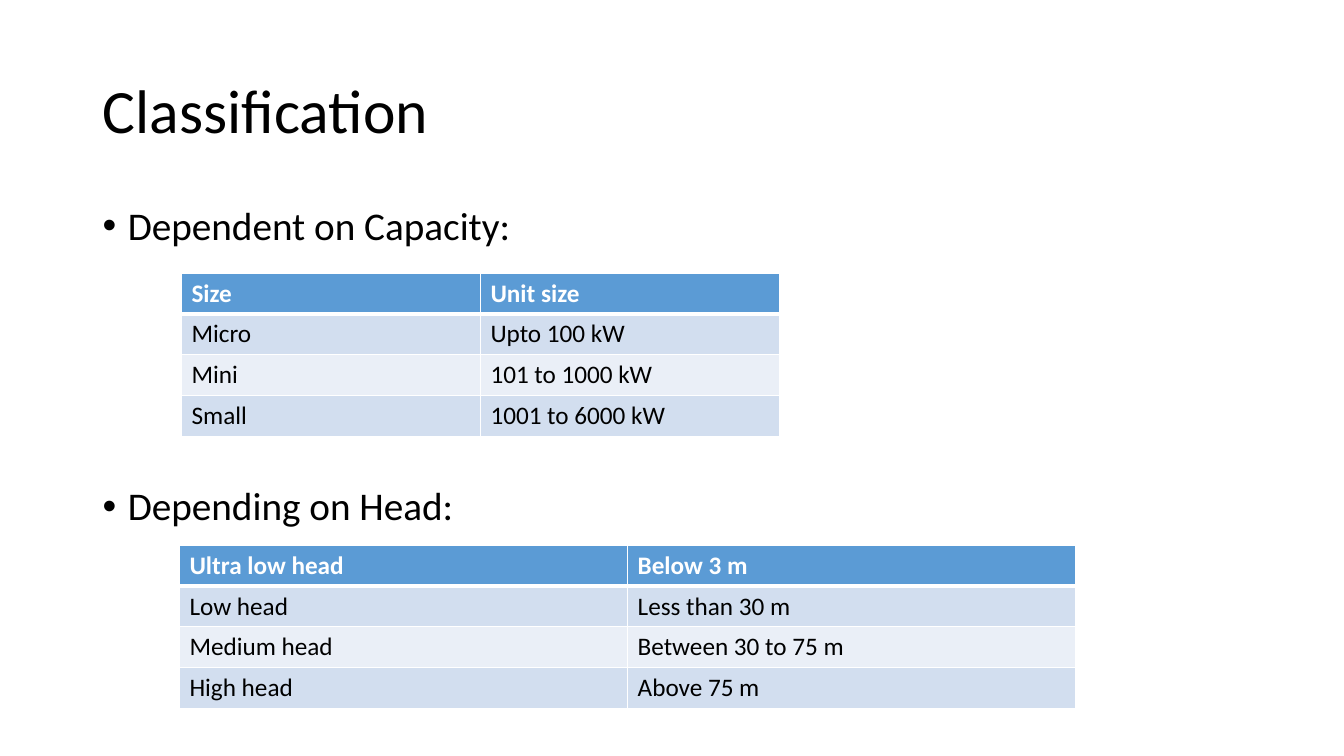
from dataclasses import dataclass

from lxml.etree import SubElement
from pptx import Presentation
from pptx.dml.color import RGBColor
from pptx.enum.text import MSO_ANCHOR, PP_ALIGN
from pptx.oxml.ns import qn
from pptx.util import Inches, Pt

TITLE = "Classification"
BULLETS = ["Dependent on Capacity:", "Depending on Head:"]
TABLES = [
    {
        "left": 1.8, "top": 2.71, "width": 5.93,
        "rows": [
            ("Size", "Unit size"),
            ("Micro", "Upto 100 kW"),
            ("Mini", "101 to 1000 kW"),
            ("Small", "1001 to 6000 kW"),
        ],
    },
    {
        "left": 1.78, "top": 5.41, "width": 8.89,
        "rows": [
            ("Ultra low head", "Below 3 m"),
            ("Low head", "Less than 30 m"),
            ("Medium head", "Between 30 to 75 m"),
            ("High head", "Above 75 m"),
        ],
    },
]


@dataclass(frozen=True)
class Theme:
    font: str = "Calibri"
    text: str = "000000"
    white: str = "FFFFFF"
    header: str = "5B9BD5"
    bands: tuple = ("D2DEEF", "EAEFF7")
    title_size: int = 44
    bullet_size: int = 28
    cell_size: int = 18
    thin_line: int = 1
    thick_line: int = 3
    line_spacing: float = 0.9
    bullet_gap: int = 170
    row_height: float = 0.405


THEME = Theme()


def add_run(paragraph, text, size, color=THEME.text, bold=False):
    run = paragraph.add_run()
    run.text = text
    run.font.name = THEME.font
    run.font.size = Pt(size)
    run.font.bold = bold
    run.font.color.rgb = RGBColor.from_string(color)


def add_bullet(paragraph):
    properties = paragraph._p.get_or_add_pPr()
    properties.set("marL", str(Inches(0.25)))
    properties.set("indent", str(-Inches(0.25)))
    SubElement(properties, qn("a:buFont"), typeface="Arial")
    SubElement(properties, qn("a:buChar"), char="•")


def add_border(cell, side, width):
    properties = cell._tc.get_or_add_tcPr()
    line = SubElement(properties, qn(f"a:ln{side}"), w=str(Pt(width)))
    fill = SubElement(line, qn("a:solidFill"))
    SubElement(fill, qn("a:srgbClr"), val=THEME.white)


def add_title(slide):
    title = slide.shapes.title
    title.left, title.top = Inches(0.92), Inches(0.4)
    title.width, title.height = Inches(11.5), Inches(1.45)
    title.text_frame.vertical_anchor = MSO_ANCHOR.MIDDLE
    paragraph = title.text_frame.paragraphs[0]
    paragraph.alignment = PP_ALIGN.LEFT
    paragraph.line_spacing = THEME.line_spacing
    add_run(paragraph, TITLE, THEME.title_size)


def add_bullets(slide):
    box = slide.shapes.add_textbox(Inches(0.92), Inches(2), Inches(11.5), Inches(4.76))
    frame = box.text_frame
    frame.word_wrap = True
    for index, text in enumerate(BULLETS):
        paragraph = frame.add_paragraph() if index else frame.paragraphs[0]
        add_bullet(paragraph)
        paragraph.line_spacing = THEME.line_spacing
        if index:
            paragraph.space_before = Pt(THEME.bullet_gap)
        add_run(paragraph, text, THEME.bullet_size)


def add_classes(slide, left, top, width, rows):
    row_height = Inches(THEME.row_height)
    shape = slide.shapes.add_table(
        len(rows), len(rows[0]), Inches(left), Inches(top),
        Inches(width), row_height * len(rows),
    )
    table = shape.table
    table.first_row = table.horz_banding = False
    for row_index, values in enumerate(rows):
        table.rows[row_index].height = row_height
        is_header = row_index == 0
        fill = THEME.header if is_header else THEME.bands[(row_index - 1) % 2]
        color = THEME.white if is_header else THEME.text
        widths = {
            "L": THEME.thin_line,
            "R": THEME.thin_line,
            "T": THEME.thick_line if row_index == 1 else THEME.thin_line,
            "B": THEME.thick_line if is_header else THEME.thin_line,
        }
        for column_index, value in enumerate(values):
            cell = table.cell(row_index, column_index)
            for side, line_width in widths.items():
                add_border(cell, side, line_width)
            cell.fill.solid()
            cell.fill.fore_color.rgb = RGBColor.from_string(fill)
            paragraph = cell.text_frame.paragraphs[0]
            add_run(paragraph, value, THEME.cell_size, color, is_header)


def main():
    presentation = Presentation()
    presentation.slide_width = Inches(13.33)
    presentation.slide_height = Inches(7.5)
    slide = presentation.slides.add_slide(presentation.slide_layouts[5])
    add_title(slide)
    add_bullets(slide)
    for table in TABLES:
        add_classes(slide, **table)
    presentation.save("out.pptx")


if __name__ == "__main__":
    main()
